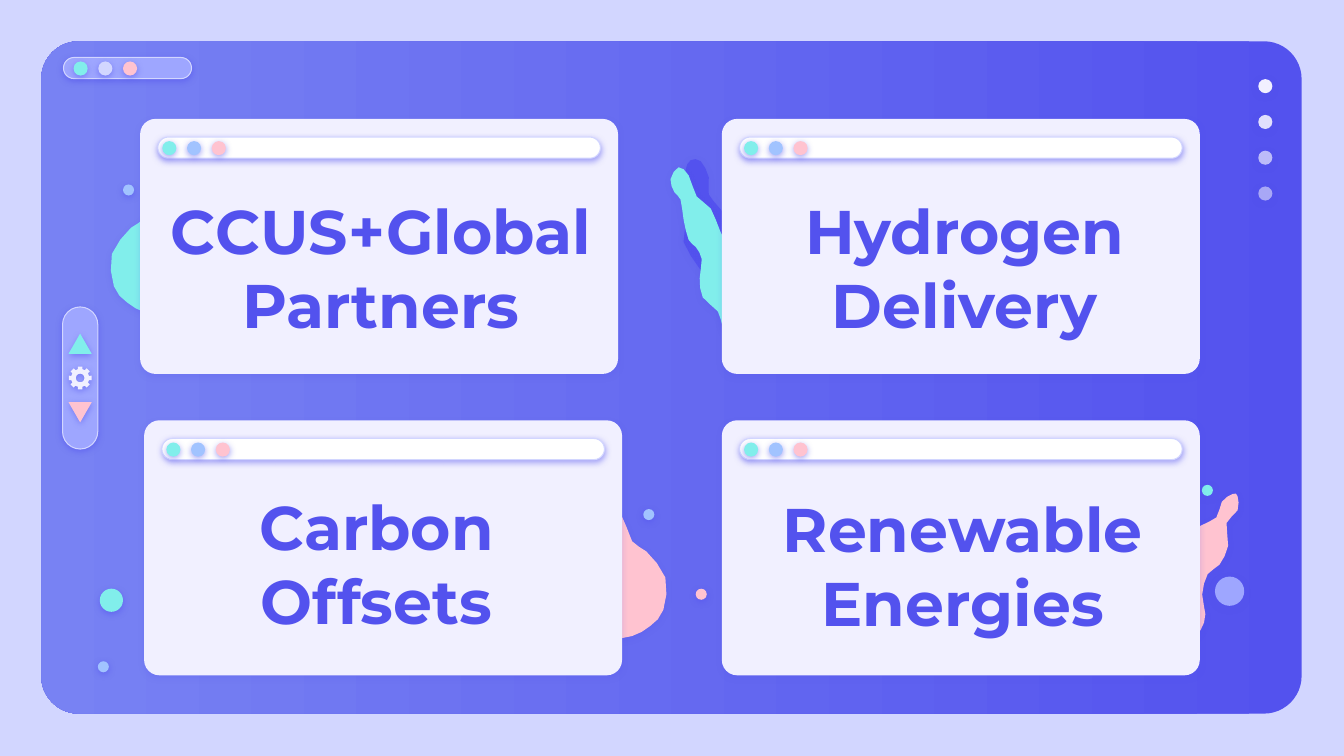
from math import cos, radians, sin

from lxml.etree import SubElement as Sub
from pptx import Presentation
from pptx.dml.color import RGBColor as RGB
from pptx.enum.shapes import MSO_SHAPE as Kind
from pptx.enum.text import MSO_ANCHOR as Anchor, MSO_AUTO_SIZE as Fit, PP_ALIGN as Align
from pptx.oxml.ns import qn
from pptx.util import Inches, Pt

# The slide is a grid of 1333 columns by 750 rows.
COLS, ROWS = 1333, 750
CELL = Inches(7.5) / ROWS

INDIGO = RGB(0x53, 0x52, 0xEE)
VIOLET = RGB(0x78, 0x82, 0xF3)
LILAC = RGB(0x9E, 0xA6, 0xFF)
PALE = RGB(0xD2, 0xD6, 0xFF)
SNOW = RGB(0xF1, 0xF0, 0xFF)
WHITE = RGB(0xFF, 0xFF, 0xFF)
MINT = RGB(0x81, 0xEE, 0xEB)
PINK = RGB(0xFF, 0xC3, 0xD0)
SKY = RGB(0xA1, 0xC3, 0xFF)

# Points that each outline runs through, in cells.
BLOB = [(19, 0), (13, 3), (13, 21), (27, 37), (25, 66), (36, 90), (51, 102),
        (58, 128), (54, 153), (60, 173), (78, 187), (98, 186), (116, 176),
        (129, 160), (131, 128), (112, 102), (98, 92), (85, 61), (61, 41),
        (40, 30), (33, 10)]
BLOB_W = 138
SHADE = [(10, 1), (20, 2), (28, 18), (28, 35), (40, 50), (55, 74), (53, 86),
         (65, 105), (76, 117), (75, 138), (75, 167), (62, 175), (44, 166),
         (37, 133), (20, 110), (3, 82), (8, 62), (14, 39), (9, 25), (5, 11)]
SPLASH = [(8, 7), (18, 15), (26, 36), (40, 48), (50, 72), (63, 94), (79, 117),
          (77, 148), (88, 170), (78, 184), (62, 183), (52, 166), (47, 150),
          (32, 136), (29, 117), (31, 98), (25, 86), (18, 79), (13, 59),
          (10, 39), (4, 32), (0, 19)]


def em(n):
    return round(n * CELL)


def tint(parent, color, alpha):
    node = Sub(parent, qn("a:srgbClr"), val=str(color))
    Sub(node, qn("a:alpha"), val=str(alpha * 1000))


def style(shape, fill, line=None, alpha=None, shadow=50):
    """Paint a shape; alpha and shadow are percentages of opacity."""
    shape.shadow.inherit = False
    shape.fill.solid()
    shape.fill.fore_color.rgb = fill
    props = shape._element.spPr
    if alpha:
        paint = props.find(qn("a:solidFill"))
        paint.clear()
        tint(paint, fill, alpha)
    if line:
        shape.line.color.rgb = line
        shape.line.width = Pt(0.75)
    else:
        shape.line.fill.background()
    if shadow:
        glow = Sub(props.find(qn("a:effectLst")), qn("a:outerShdw"), blurRad=str(Pt(4.5)),
                   dist=str(Pt(1.5)), dir="5400000", algn="bl", rotWithShape="0")
        tint(glow, INDIGO, shadow)
    return shape


def form(slide, kind, x, y, w, h, fill, bend=None, **look):
    shape = slide.shapes.add_shape(kind, em(x), em(y), em(w), em(h))
    if bend is not None:
        shape.adjustments[0] = bend
    return style(shape, fill, **look)


def dot(slide, x, y, size, fill, **look):
    return form(slide, Kind.OVAL, x, y, size, size, fill, **look)


def dots(slide, x, y, fills):
    for i, fill in enumerate(fills):
        dot(slide, x + 24.5 * i, y, 14, fill)


def outline(slide, rings, fill, shadow):
    """Draw closed rings of points as one shape."""
    rings = [[(em(x), em(y)) for x, y in ring] for ring in rings]
    pen = slide.shapes.build_freeform(*rings[0][0], scale=1.0)
    for i, ring in enumerate(rings):
        if i:
            pen.move_to(*ring[0])
        pen.add_line_segments(ring[1:], close=True)
    return style(pen.convert_to_shape(), fill, shadow=shadow)


def curve(knots, steps=2):
    """Return points of a smooth closed curve through the knots."""
    size, trail = len(knots), []
    for i in range(size):
        near = [knots[(i + k) % size] for k in (-1, 0, 1, 2)]
        for s in range(steps):
            t = s / steps
            trail.append(tuple(
                b + t * (c - a) / 2 + t * t * (a - 2.5 * b + 2 * c - d / 2)
                + t ** 3 * (3 * b - a - 3 * c + d) / 2
                for a, b, c, d in zip(*near)))
    return trail


def drop(slide, x, y, knots, fill, shadow):
    outline(slide, [curve([(x + a, y + b) for a, b in knots])], fill, shadow)


def blob(slide, x, y, fill, scale=1, flip=False):
    knots = [((BLOB_W - a if flip else a) * scale, b * scale) for a, b in BLOB]
    drop(slide, x, y, knots, fill, 22)


def ring(x, y, spots):
    return [(x + r * cos(radians(a)), y + r * sin(radians(a))) for r, a in spots]


def gear(slide, x, y):
    teeth = [(r, 45 * k + a) for k in range(8)
             for r, a in ((9, -14), (11.5, -11), (11.5, 11), (9, 14))]
    hole = [(4.3, a) for a in range(0, 360, 30)]
    outline(slide, [ring(x, y, teeth), ring(x, y, hole)], SNOW, 52)


def write(box, words, x, y, w, h, size=44, color=INDIGO, font="Montserrat"):
    box.left, box.top, box.width, box.height = em(x), em(y), em(w), em(h)
    frame = box.text_frame
    frame.text = words
    frame.word_wrap, frame.auto_size = True, Fit.NONE
    frame.vertical_anchor = Anchor.MIDDLE
    frame.margin_left = frame.margin_right = em(13)
    frame.margin_top = frame.margin_bottom = em(13)
    para = frame.paragraphs[0]
    para.alignment = Align.CENTER
    for run in para.runs:
        run.font.name, run.font.size, run.font.bold = font, Pt(size), True
        run.font.color.rgb = color


def screen(slide, x, y, w, h):
    """Draw the large window with its top bar and side dots."""
    back = slide.background.fill
    back.solid()
    back.fore_color.rgb = PALE
    fill = form(slide, Kind.ROUNDED_RECTANGLE, x, y, w, h, INDIGO, 0.056, shadow=0).fill
    fill.gradient()
    fill.gradient_angle = 180
    for stop, color in zip(fill.gradient_stops, (INDIGO, VIOLET)):
        stop.color.rgb = color
    form(slide, Kind.ROUNDED_RECTANGLE, x + 22, y + 16, 127, 21, LILAC, 0.5, line=PALE)
    dots(slide, x + 32, y + 20, (MINT, PALE, PINK))
    for i, alpha in enumerate((None, 90, 67, 54)):
        dot(slide, x + w - 43, y + 37.5 + 35.5 * i, 14, SNOW, alpha=alpha)


def decor(slide):
    drop(slide, 675, 158, SHADE, INDIGO, 18)
    drop(slide, 665, 159, SPLASH, MINT, 18)
    blob(slide, 529, 445, PINK)
    blob(slide, 1130, 490, PINK, scale=0.78, flip=True)
    blob(slide, 104, 124, MINT, flip=True)
    for x, y, size, fill in ((97, 656, 11, SKY), (99, 584, 23, MINT), (638, 505, 11, SKY),
                             (690, 584, 11, PINK), (1205, 572, 29, LILAC),
                             (1192, 481, 11, MINT), (122, 183, 11, SKY)):
        dot(slide, x, y, size, fill)


def card(slide, x, y, w=474, h=253):
    form(slide, Kind.ROUNDED_RECTANGLE, x, y, w, h, SNOW, 0.06, shadow=19)
    form(slide, Kind.ROUNDED_RECTANGLE, x + 17.5, y + 18, w - 35, 21, WHITE, 0.5, line=PALE)
    dots(slide, x + 22, y + 22, (MINT, SKY, PINK))


def panel(slide, x, y, w, h):
    """Draw the upright bar with its two arrows and gear."""
    form(slide, Kind.ROUNDED_RECTANGLE, x, y, w, h, LILAC, 0.5, line=PALE)
    mid = x + w / 2
    for top, fill, turn in ((26.5, MINT, 0), (94.5, PINK, 180)):
        tip = form(slide, Kind.ISOSCELES_TRIANGLE, mid - 11.5, y + top, 23, 20, fill)
        tip.rotation = turn
    gear(slide, mid, y + h / 2)


def main():
    deck = Presentation()
    deck.slide_width, deck.slide_height = em(COLS), em(ROWS)
    slide = deck.slides.add_slide(deck.slide_layouts[5])
    screen(slide, 41, 41, 1250, 667)
    decor(slide)
    for x, y in ((143, 417), (716, 118), (716, 417), (139, 118)):
        card(slide, x, y)
    title = slide.shapes.title
    slide.shapes._spTree.append(title._element)
    write(title, "CCUS+Global Partners", 97, 233, 562, 64)
    for words, x, y, w, h in (("Carbon Offsets", 197, 526, 353, 64),
                              ("Hydrogen\vDelivery", 716, 233, 482, 64),
                              ("Renewable Energies", 701, 540, 508, 40)):
        write(slide.shapes.add_textbox(0, 0, 0, 0), words, x, y, w, h)
    panel(slide, 62, 304.5, 35, 141)
    deck.save("out.pptx")


if __name__ == "__main__":
    main()
